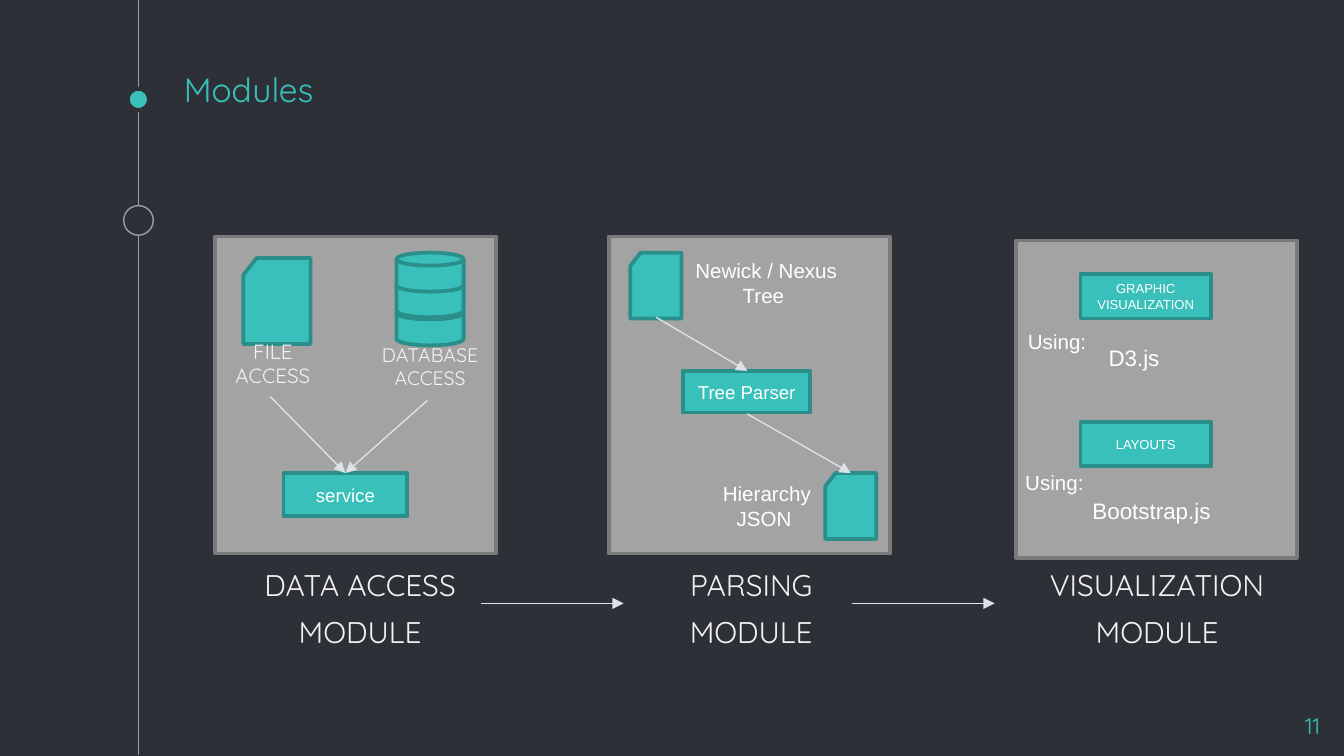
from dataclasses import dataclass
from typing import NamedTuple

from lxml.etree import SubElement
from pptx import Presentation
from pptx.dml.color import RGBColor
from pptx.enum.shapes import MSO_CONNECTOR, MSO_SHAPE
from pptx.enum.text import MSO_ANCHOR, PP_ALIGN
from pptx.oxml.ns import qn
from pptx.util import Emu, Pt

PX = 9144  # 100 px to the inch


@dataclass(frozen=True)
class Theme:
    bg: str = "2E3037"
    accent: str = "39C0BA"
    accent_edge: str = "2A8E8A"
    panel: str = "A3A3A3"
    panel_edge: str = "7A7A7A"
    rail: str = "999FA9"
    arrow: str = "DDE2E9"
    caption: str = "F3F3F3"
    white: str = "FFFFFF"
    display: str = "Quicksand"
    body: str = "Arial"
    title_size: float = 18
    module_size: float = 16
    number_size: float = 12
    library_size: float = 12
    note_size: float = 11
    database_size: float = 10.5
    node_size: float = 10
    small_size: float = 7
    thin: float = 0.75
    thick: float = 2
    halo: float = 2.25


T = Theme()


class Box(NamedTuple):
    x: int
    y: int
    w: int
    h: int


class Arrow(NamedTuple):
    x1: int
    y1: int
    x2: int
    y2: int


@dataclass(frozen=True)
class Label:
    text: str
    box: Box
    size: float
    font: str = T.body
    color: str = T.white
    align: PP_ALIGN = PP_ALIGN.LEFT
    anchor: MSO_ANCHOR = MSO_ANCHOR.TOP
    inset: int = 5
    indent: int = 0
    before: int = 0


@dataclass(frozen=True)
class Node:
    box: Box
    text: str = ""
    size: float = T.node_size
    kind: MSO_SHAPE = MSO_SHAPE.RECTANGLE
    fill: str = T.accent
    edge: str = T.accent_edge
    width: float = T.thick


def rgb(color: str) -> RGBColor:
    return RGBColor.from_string(color)


def emu(*lengths: int) -> list[Emu]:
    return [Emu(n * PX) for n in lengths]


def write(tf, label: Label) -> None:
    tf.text = label.text
    tf.word_wrap = True
    tf.vertical_anchor = label.anchor
    tf.margin_top, tf.margin_bottom = emu(label.inset, label.inset)
    for p in tf.paragraphs:
        p.alignment = label.align
        p.space_before = Pt(label.before)
        if label.indent:
            p._p.get_or_add_pPr().set("marL", str(label.indent * PX))
        for r in p.runs:
            r.font.name, r.font.size = label.font, Pt(label.size)
            r.font.color.rgb = rgb(label.color)


def draw_label(s, label: Label) -> None:
    write(s.shapes.add_textbox(*emu(*label.box)).text_frame, label)


def draw_node(s, node: Node) -> None:
    sp = s.shapes.add_shape(node.kind, *emu(*node.box))
    sp.shadow.inherit = False
    sp.fill.solid()
    sp.fill.fore_color.rgb = rgb(node.fill)
    sp.line.color.rgb = rgb(node.edge)
    sp.line.width = Pt(node.width)
    if node.text:
        write(sp.text_frame, Label(node.text, node.box, node.size,
                                   align=PP_ALIGN.CENTER, anchor=MSO_ANCHOR.MIDDLE))


def draw_line(s, ends: Arrow, color: str = T.arrow, head: bool = True) -> None:
    c = s.shapes.add_connector(MSO_CONNECTOR.STRAIGHT, *emu(*ends))
    c.line.color.rgb = rgb(color)
    c.line.width = Pt(T.thin)
    if head:
        SubElement(c.line._get_or_add_ln(), qn("a:tailEnd"), type="triangle")
    SubElement(c._element.spPr, qn("a:effectLst"))


def caption(text: str, box: Box, size: float) -> Label:
    return Label(text, box, size, T.display, T.caption, PP_ALIGN.CENTER,
                 inset=10, indent=4, before=6)


def note(text: str, box: Box) -> Label:
    return Label(text, box, T.note_size, align=PP_ALIGN.CENTER)


def card(x: int, y: int, w: int, h: int) -> Node:
    return Node(Box(x, y, w, h), kind=MSO_SHAPE.FLOWCHART_CARD)


RAIL = Arrow(103, 0, 103, 562)
MARKERS = [
    Node(Box(95, 66, 16, 16), kind=MSO_SHAPE.OVAL, edge=T.bg, width=T.halo),
    Node(Box(92, 153, 22, 22), kind=MSO_SHAPE.OVAL, fill=T.bg, edge=T.rail, width=T.thin),
]
PANELS = [Node(Box(x, y, 209, 236), fill=T.panel, edge=T.panel_edge)
          for x, y in ((160, 176), (453, 176), (756, 179))]
NODES = [
    # Data access: file, database stacked from the bottom up, service
    card(181, 192, 50, 64),
    *(Node(Box(295, y, 50, 29), kind=MSO_SHAPE.FLOWCHART_MAGNETIC_DISK)
      for y in (228, 207, 188)),
    Node(Box(211, 352, 92, 32), "service"),
    # Parsing: tree file, parser, JSON file
    card(469, 188, 38, 49),
    Node(Box(508, 276, 95, 31), "Tree Parser"),
    card(614, 352, 38, 49),
    # Visualization
    Node(Box(804, 204, 97, 33), "GRAPHIC VISUALIZATION", T.small_size),
    Node(Box(804, 314, 97, 33), "LAYOUTS", T.small_size),
]
LABELS = [
    Label("Modules", Box(127, 53, 750, 38), T.title_size, T.display, T.accent,
          anchor=MSO_ANCHOR.BOTTOM, inset=10),
    Label("11", Box(932, 520, 60, 34), T.number_size, T.display, T.accent,
          PP_ALIGN.RIGHT, inset=10),
    *(caption(f"{name}\nMODULE", Box(x, 412, 186, 73), T.module_size)
      for name, x in (("DATA ACCESS", 173), ("PARSING", 464), ("VISUALIZATION", 766))),
    caption("FILE ACCESS", Box(145, 242, 112, 53), T.note_size),
    caption("DATABASE ACCESS", Box(257, 245, 122, 53), T.database_size),
    note(" Newick / Nexus Tree", Box(502, 187, 132, 47)),
    note(" Hierarchy JSON", Box(521, 353, 95, 47)),
    Label("D3.js", Box(815, 251, 74, 30), T.library_size),
    Label("Bootstrap.js", Box(803, 365, 128, 30), T.library_size),
    *(Label("Using:", Box(x, y, 64, 29), T.note_size) for x, y in ((755, 240), (753, 345))),
]
ARROWS = [
    Arrow(201, 295, 257, 352), Arrow(318, 298, 257, 352),  # into the service
    Arrow(488, 236, 556, 276), Arrow(556, 308, 633, 352),  # through the parser
    Arrow(358, 449, 464, 449), Arrow(634, 449, 740, 449),  # between modules
]


def main() -> None:
    prs = Presentation()
    prs.slide_width = Emu(1000 * PX)
    prs.slide_height = Emu(prs.slide_width * 9 // 16)
    s = prs.slides.add_slide(prs.slide_layouts[6])
    s.background.fill.solid()
    s.background.fill.fore_color.rgb = rgb(T.bg)

    # Timeline rail, then panels with their contents
    draw_line(s, RAIL, T.rail, head=False)
    for node in MARKERS + PANELS + NODES:
        draw_node(s, node)
    for label in LABELS:
        draw_label(s, label)
    for arrow in ARROWS:
        draw_line(s, arrow)
    prs.save("out.pptx")


if __name__ == "__main__":
    main()
